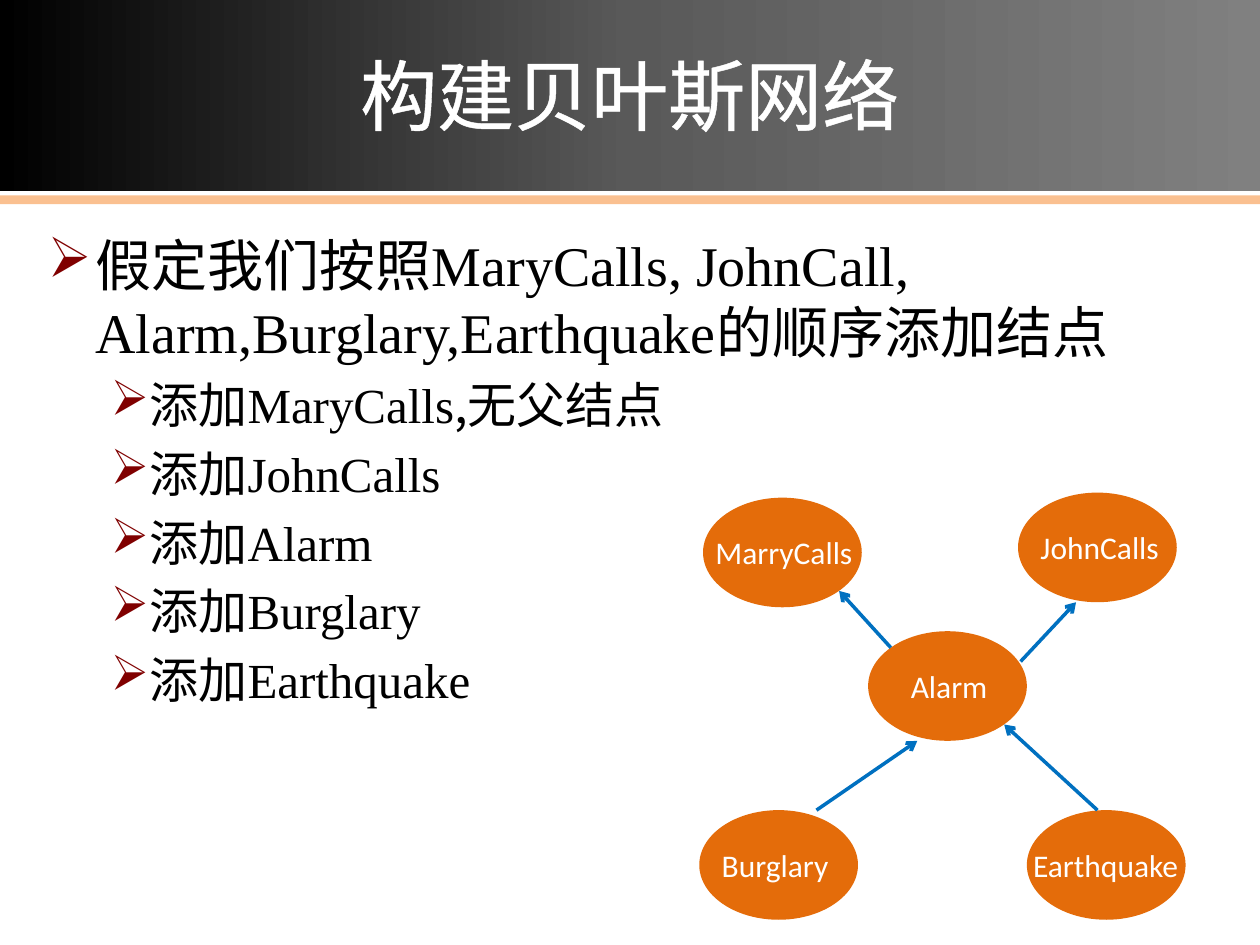
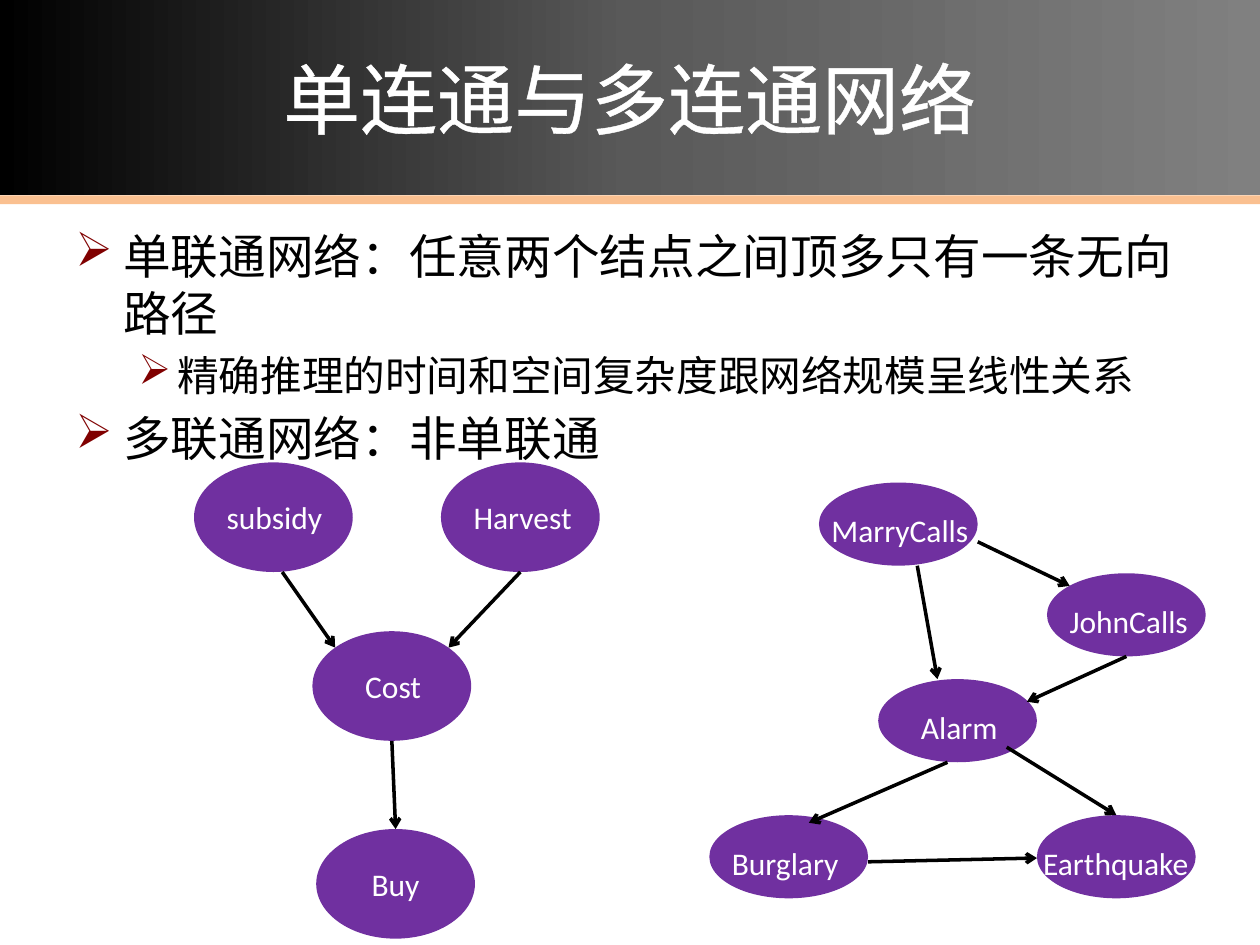
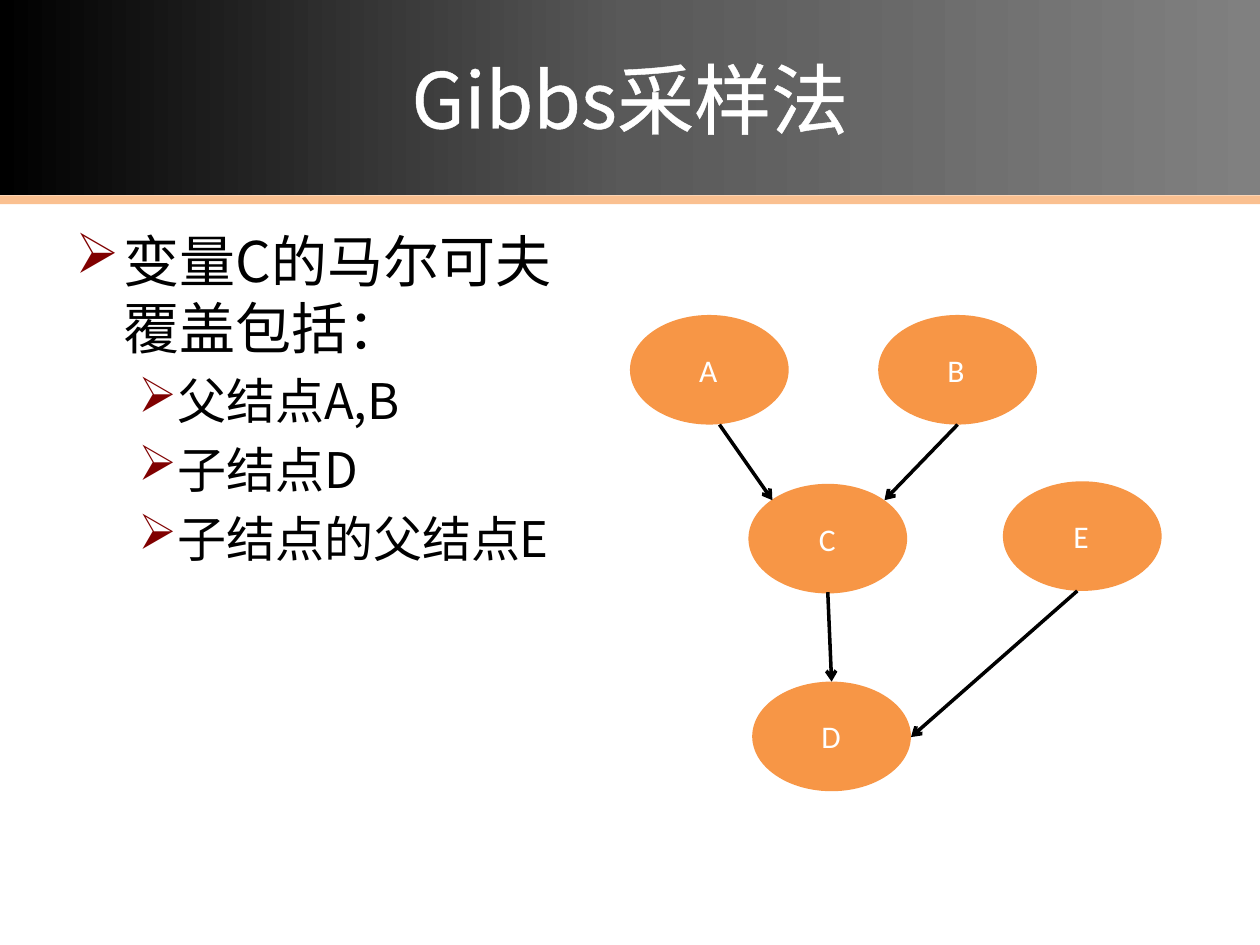
from copy import deepcopy

from lxml import etree
from pptx import Presentation
from pptx import util as u
from pptx.dml.color import RGBColor
from pptx.enum import shapes, text
from pptx.oxml.ns import qn

# Shared look
SANS, SERIF, LABEL = "Noto Sans CJK SC", "Times New Roman", "Calibri"
WHITE, BLACK, BLUE = "FFFFFF", "000000", "0070C0"
PEACH, MAROON = "FAC090", "800000"
RUST, PURPLE, ORANGE = "E46C0A", "7030A0", "F79646"
FADE = [(0, BLACK), (0.5, "595959"), (1, "808080")]
INDENT = [(0.38, -0.38), (0.81, -0.31)]
NODE_W, TALL, FLAT = 1.26, 0.87, 0.66


def rgb(code):
    return RGBColor.from_string(code)


def box(x, y, w, h):
    return [u.Inches(v) for v in (x, y, w, h)]


def add(parent, tag, **attrs):
    return etree.SubElement(parent, qn(tag), attrs)


def face(font, name):
    """Set one typeface for both Latin and East Asian letters."""
    font.name = name
    latin = font._element.find(qn("a:latin"))
    east = deepcopy(latin)
    east.tag = qn("a:ea")
    latin.addnext(east)


def style(font, size, color):
    font.size = u.Pt(size)
    font.color.rgb = rgb(color)


def shape(slide, kind, place, color=None):
    item = slide.shapes.add_shape(kind, *box(*place))
    item.shadow.inherit = False
    item.line.fill.background()
    if color:
        item.fill.solid()
        item.fill.fore_color.rgb = rgb(color)
    return item


# Title band with its thin stripe
def header(slide, words, top=0):
    rect = shapes.MSO_SHAPE.RECTANGLE
    shape(slide, rect, (0, 1.55, 10, 0.07), PEACH)
    band = shape(slide, rect, (0, top, 10, 1.55))
    band.fill.gradient()
    band.fill.gradient_angle = 0
    stops = band._element.spPr.find(".//" + qn("a:gsLst"))
    stops.append(deepcopy(stops[-1]))
    for stop, (place, color) in zip(band.fill.gradient_stops, FADE):
        stop.position = place
        stop.color.rgb = rgb(color)
    frame = band.text_frame
    frame.vertical_anchor = text.MSO_ANCHOR.MIDDLE
    para = frame.paragraphs[0]
    para.alignment = text.PP_ALIGN.CENTER
    para.add_run().text = words
    style(para.font, 44, WHITE)
    face(para.font, SANS)
    edge = etree.Element(qn("a:ln"), w=str(u.Pt(1.45)))
    add(add(edge, "a:solidFill"), "a:srgbClr", val=WHITE)
    para.font._element.insert(0, edge)


def bullet(para, level):
    left, first = INDENT[level]
    props = para._p.get_or_add_pPr()
    props.set("marL", str(u.Inches(left)))
    props.set("indent", str(u.Inches(first)))
    color = etree.Element(qn("a:buClr"))
    add(color, "a:srgbClr", val=MAROON)
    mark = etree.Element(qn("a:buChar"), char="➢")
    base = props.find(qn("a:defRPr"))
    base.addprevious(color)
    base.addprevious(mark)


# Bulleted text: "|" switches between the sans and the serif face
def body(slide, place, sizes, rows):
    frame = slide.shapes.add_textbox(*box(*place)).text_frame
    frame.word_wrap = True
    for i, (level, words) in enumerate(rows):
        para = frame.add_paragraph() if i else frame.paragraphs[0]
        para.level = level
        para.space_before = u.Pt(round(sizes[level] * 0.2, 1))
        style(para.font, sizes[level], BLACK)
        bullet(para, level)
        for j, part in enumerate(words.split("|")):
            run = para.add_run()
            run.text = part
            face(run.font, SERIF if j % 2 else SANS)


# Network parts: nodes are (name, left, top, label shift, label width)
def nodes(slide, color, height, items):
    for name, x, y, shift, width in items:
        oval = (x, y, NODE_W, height)
        shape(slide, shapes.MSO_SHAPE.OVAL, oval, color)
        place = (x + shift, y + 0.27 * height, width, 0.4)
        frame = slide.shapes.add_textbox(*box(*place)).text_frame
        frame.word_wrap = True
        para = frame.paragraphs[0]
        para.add_run().text = name
        style(para.font, 18, WHITE)
        face(para.font, LABEL)


def arrows(slide, color, ends):
    for end in ends:
        line = slide.shapes.add_connector(
            shapes.MSO_CONNECTOR.STRAIGHT, *box(*end))
        line.line.color.rgb = rgb(color)
        line.line.width = u.Pt(2)
        add(line.line._get_or_add_ln(), "a:tailEnd", type="arrow")
        add(line._element.spPr, "a:effectLst")


# Slides
def build(slide):
    header(slide, "构建贝叶斯网络", -0.03)
    body(slide, (0.28, 1.78, 9, 5.32), (32, 28), [
        (0, "假定我们按照|MaryCalls, JohnCall, "
            "Alarm,Burglary,Earthquake|的顺序添加结点"),
        (1, "添加|MaryCalls|,无父结点"),
        (1, "添加|JohnCalls"),
        (1, "添加|Alarm"),
        (1, "添加|Burglary"),
        (1, "添加|Earthquake"),
    ])
    nodes(slide, RUST, TALL, [
        ("MarryCalls", 5.58, 3.95, 0, 1.34),
        ("JohnCalls", 8.08, 3.91, 0.08, 1.34),
        ("Alarm", 6.89, 5.01, 0.24, 1.02),
        ("Burglary", 5.55, 6.43, 0.08, 1.34),
        ("Earthquake", 8.15, 6.43, -0.05, 1.42),
    ])
    arrows(slide, BLUE, [
        (7.07, 5.14, 6.66, 4.69),
        (8.71, 6.43, 7.97, 5.75),
        (6.48, 6.43, 7.28, 5.88),
        (8.1, 5.25, 8.54, 4.78),
    ])


def compare(slide):
    header(slide, "单连通与多连通网络")
    body(slide, (0.5, 1.75, 9.07, 1.92), (27.2, 23.8), [
        (0, "单联通网络：任意两个结点之间顶多只有一条无向路径"),
        (1, "精确推理的时间和空间复杂度跟网络规模呈线性关系"),
        (0, "多联通网络：非单联通"),
    ])
    nodes(slide, PURPLE, FLAT, [
        ("MarryCalls", 6.5, 3.83, 0, 1.34),
        ("JohnCalls", 8.31, 4.55, 0.08, 1.34),
        ("Alarm", 6.97, 5.39, 0.24, 1.02),
        ("Burglary", 5.63, 6.47, 0.08, 1.34),
        ("Earthquake", 8.23, 6.47, -0.05, 1.42),
    ])
    nodes(slide, PURPLE, TALL, [
        ("Buy", 2.51, 6.58, 0.34, 0.81),
        ("Harvest", 3.5, 3.67, 0.16, 1.18),
        ("subsidy", 1.54, 3.67, 0.16, 1.1),
        ("Cost", 2.48, 5.01, 0.32, 0.94),
    ])
    arrows(slide, BLACK, [
        (7.76, 4.3, 8.49, 4.65),
        (7.28, 4.49, 7.44, 5.39),
        (7.99, 5.93, 8.86, 6.47),
        (7.52, 6.05, 6.42, 6.53),
        (8.94, 5.21, 8.15, 5.57),
        (6.89, 6.84, 8.23, 6.81),
        (4.13, 4.54, 3.56, 5.14),
        (2.24, 4.54, 2.66, 5.14),
        (3.11, 5.88, 3.14, 6.58),
    ])


def sample(slide):
    header(slide, "Gibbs采样法")
    nodes(slide, ORANGE, TALL, [
        ("D", 5.97, 5.41, 0.45, 0.72),
        ("B", 6.97, 2.5, 0.45, 0.89),
        ("A", 5, 2.5, 0.45, 0.79),
        ("C", 5.94, 3.84, 0.46, 0.8),
        ("E", 7.96, 3.82, 0.46, 0.8),
    ])
    arrows(slide, BLACK, [
        (7.6, 3.37, 7.02, 3.97),
        (5.71, 3.37, 6.13, 3.97),
        (6.57, 4.7, 6.6, 5.41),
        (8.55, 4.69, 7.23, 5.85),
    ])
    body(slide, (0.5, 1.75, 4.42, 4.95), (32, 28), [
        (0, "变量C的马尔可夫覆盖包括："),
        (1, "父结点A,B"),
        (1, "子结点D"),
        (1, "子结点的父结点E"),
    ])


def main():
    deck = Presentation()
    deck.slide_width, deck.slide_height = u.Inches(10), u.Inches(7.5)
    for fill in (build, compare, sample):
        fill(deck.slides.add_slide(deck.slide_layouts[6]))
    deck.save("out.pptx")


if __name__ == "__main__":
    main()
